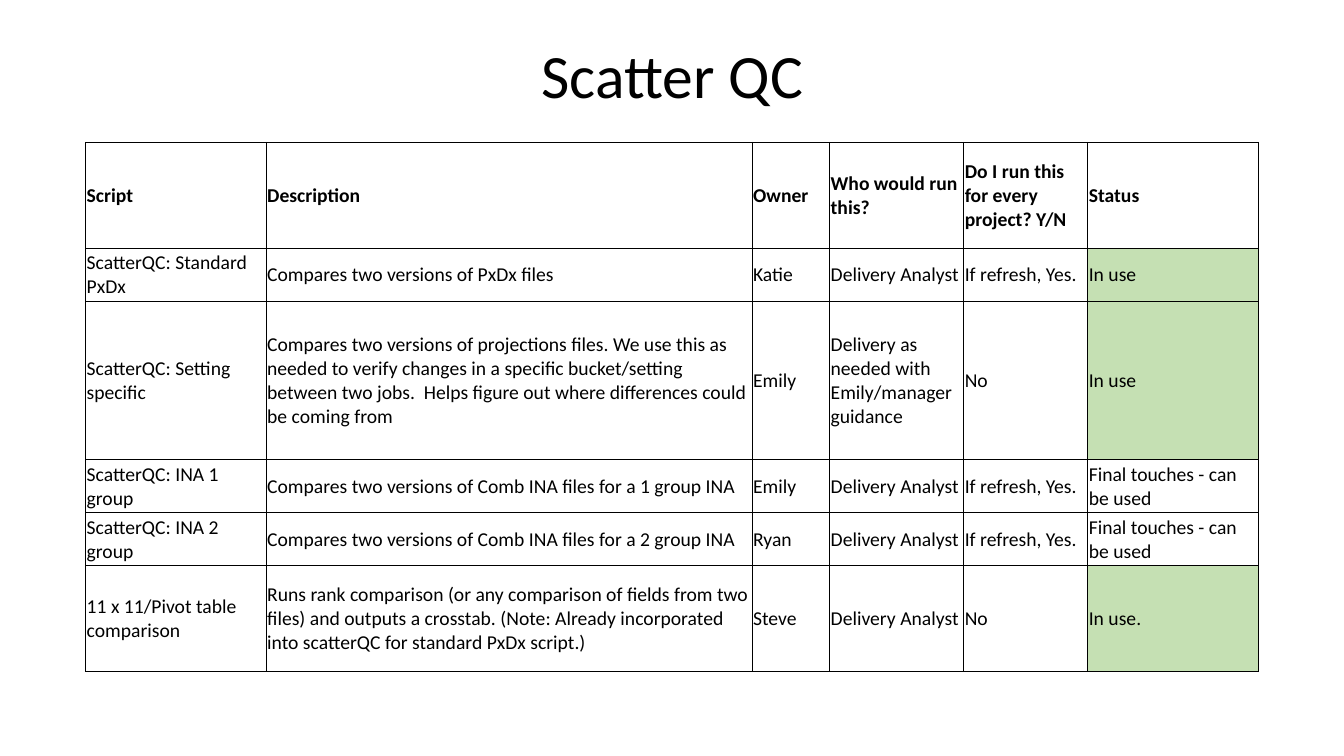
import pptx
import pptx.dml.color
import pptx.enum.text
import pptx.oxml
import pptx.oxml.ns
import pptx.util

RGBColor = pptx.dml.color.RGBColor
Inches = pptx.util.Inches
Pt = pptx.util.Pt

TITLE = "Scatter QC"
HEADERS = ["Script", "Description", "Owner", "Who would run this?",
           "Do I run this for every project? Y/N", "Status"]
SCRIPTS = [
    ["ScatterQC: Standard PxDx", "Compares two versions of PxDx files",
     "Katie", "Delivery Analyst", "If refresh, Yes.", "In use"],
    ["ScatterQC: Setting specific",
     "Compares two versions of projections files. We use this as needed to "
     "verify changes in a specific bucket/setting between two jobs.  Helps "
     "figure out where differences could be coming from",
     "Emily", "Delivery as needed with Emily/manager guidance", "No", "In use"],
    ["ScatterQC: INA 1 group",
     "Compares two versions of Comb INA files for a 1 group INA",
     "Emily", "Delivery Analyst", "If refresh, Yes.", "Final touches - can be used"],
    ["ScatterQC: INA 2 group",
     "Compares two versions of Comb INA files for a 2 group INA",
     "Ryan", "Delivery Analyst", "If refresh, Yes.", "Final touches - can be used"],
    ["11 x 11/Pivot table comparison",
     "Runs rank comparison (or any comparison of fields from two files) and "
     "outputs a crosstab. (Note: Already incorporated into scatterQC for "
     "standard PxDx script.)",
     "Steve", "Delivery Analyst", "No", "In use."],
]

COLUMN_WIDTHS = [1.79, 4.82, 0.77, 1.33, 1.23, 1.69]
ROW_UNITS = [2, 1, 3, 1, 1, 2]
TABLE_LEFT, TABLE_TOP, TABLE_HEIGHT = 0.85, 1.41, 5.25
FONT = "Calibri"
BLACK = RGBColor(0x00, 0x00, 0x00)
WHITE = RGBColor(0xFF, 0xFF, 0xFF)
IN_USE_GREEN = RGBColor(0xC5, 0xE0, 0xB3)


def format_runs(paragraph, size, bold=False):
    for run in paragraph.runs:
        run.font.name = FONT
        run.font.size = Pt(size)
        run.font.bold = bold
        run.font.color.rgb = BLACK


def add_borders(cell, width=0.5):
    properties = cell._tc.get_or_add_tcPr()
    for side in "LRTB":
        properties.append(pptx.oxml.parse_xml(
            f'<a:ln{side} {pptx.oxml.ns.nsdecls("a")} w="{Pt(width)}">'
            f'<a:solidFill><a:srgbClr val="{BLACK}"/></a:solidFill></a:ln{side}>'))


def add_title(slide):
    title = slide.shapes.title
    title.left, title.top = Inches(0.92), Inches(0.4)
    title.width, title.height = Inches(11.5), Inches(1.45)
    text_frame = title.text_frame
    text_frame.text = TITLE
    text_frame.auto_size = pptx.enum.text.MSO_AUTO_SIZE.NONE
    text_frame.vertical_anchor = pptx.enum.text.MSO_ANCHOR.TOP
    paragraph = text_frame.paragraphs[0]
    paragraph.alignment = pptx.enum.text.PP_ALIGN.CENTER
    paragraph.line_spacing = 0.9
    format_runs(paragraph, 44)


def add_script_table(slide):
    rows = [HEADERS] + SCRIPTS
    table = slide.shapes.add_table(
        len(rows), len(HEADERS), Inches(TABLE_LEFT), Inches(TABLE_TOP),
        Inches(sum(COLUMN_WIDTHS)), Inches(TABLE_HEIGHT)).table
    table.first_row = table.horz_banding = False
    for column, width in zip(table.columns, COLUMN_WIDTHS):
        column.width = Inches(width)
    for row, units in zip(table.rows, ROW_UNITS):
        row.height = Inches(TABLE_HEIGHT * units / sum(ROW_UNITS))

    for row_index, texts in enumerate(rows):
        for column_index, text in enumerate(texts):
            cell = table.cell(row_index, column_index)
            cell.text_frame.text = text
            cell.vertical_anchor = pptx.enum.text.MSO_ANCHOR.MIDDLE
            cell.margin_left = cell.margin_right = cell.margin_top = Inches(0.01)
            cell.margin_bottom = 0
            format_runs(cell.text_frame.paragraphs[0], 14, bold=row_index == 0)
            add_borders(cell)
            cell.fill.solid()
            cell.fill.fore_color.rgb = IN_USE_GREEN if text.startswith("In use") else WHITE


def main():
    presentation = pptx.Presentation()
    presentation.slide_width, presentation.slide_height = Inches(13.33), Inches(7.5)
    slide = presentation.slides.add_slide(
        presentation.slide_layouts.get_by_name("Title Only"))
    add_title(slide)
    add_script_table(slide)
    presentation.save("out.pptx")


if __name__ == "__main__":
    main()
